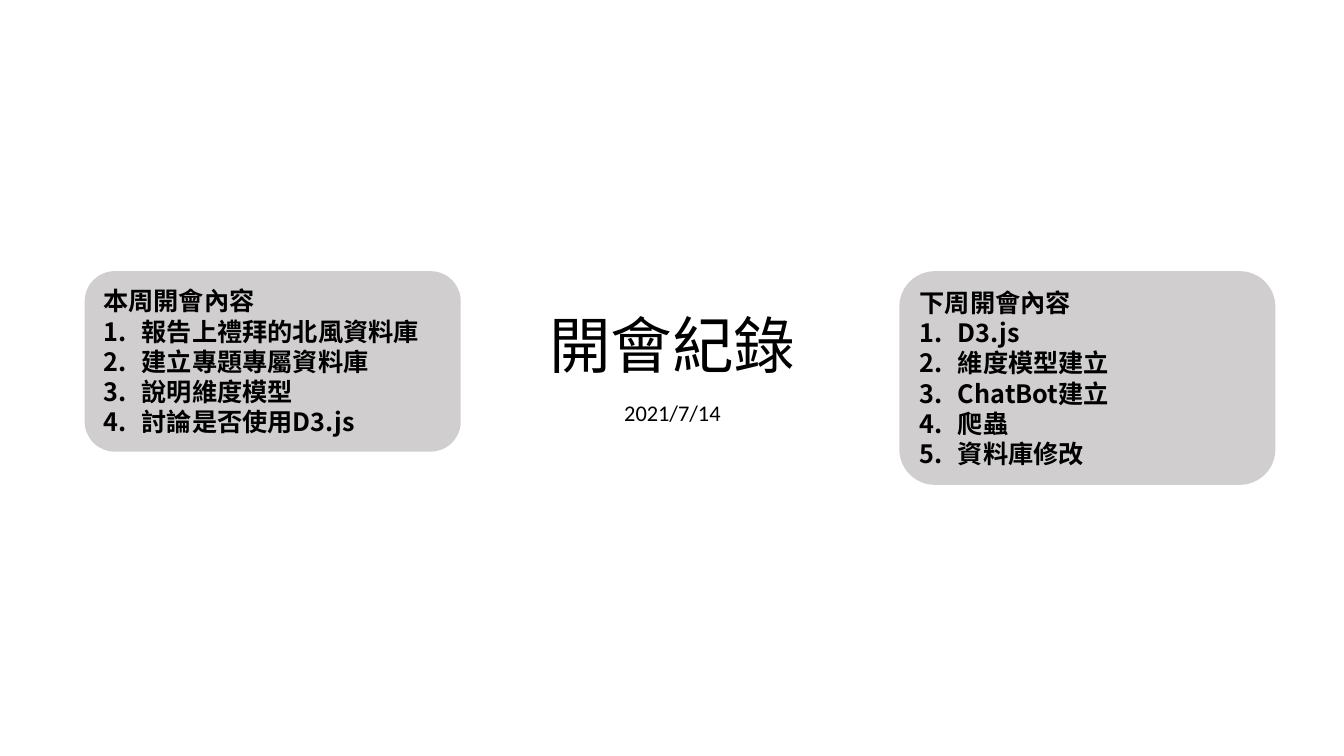
from lxml.etree import SubElement
from pptx import Presentation
from pptx.dml.color import RGBColor
from pptx.enum.shapes import MSO_SHAPE
from pptx.enum.text import MSO_ANCHOR as ANCHOR, PP_ALIGN as ALIGN
from pptx.oxml.ns import qn
from pptx.util import Inches, Pt

BLACK = RGBColor(0x00, 0x00, 0x00)
GRAY = RGBColor(0xD0, 0xCE, 0xCE)
CJK = "Noto Sans CJK SC"


def add_run(p, text, **font):
    r = p.add_run()
    r.text = text
    r.font.color.rgb = BLACK
    for name, value in font.items():
        setattr(r.font, name, value)
    SubElement(r.font._element, qn("a:ea"), typeface=CJK)


def number(p):
    """Turn the paragraph into an item of a 1. 2. 3. list."""
    pPr = p._p.get_or_add_pPr()
    pPr.set("marL", str(Inches(0.38)))
    pPr.set("indent", str(-Inches(0.38)))
    SubElement(pPr, qn("a:buFont"), typeface="+mj-lt")
    SubElement(pPr, qn("a:buAutoNum"), type="arabicPeriod")


prs = Presentation()
prs.slide_width, prs.slide_height = Inches(13.33), Inches(7.5)
s = prs.slides.add_slide(prs.slide_layouts[6])

# Title and date
headings = [
    ("開會紀錄", 1.23, 2.61, 44, ANCHOR.BOTTOM),
    ("2021/7/14", 3.94, 1.81, 16, ANCHOR.TOP),
]
for text, top, height, size, anchor in headings:
    sp = s.shapes.add_textbox(Inches(1.67), Inches(top), Inches(10), Inches(height))
    tf = sp.text_frame
    tf.word_wrap = True
    tf.vertical_anchor = anchor
    p = tf.paragraphs[0]
    p.alignment = ALIGN.CENTER
    p.line_spacing = 0.9
    add_run(p, text, size=Pt(size), name="Calibri")

# Agenda cards for this week and next week
cards = [
    (0.84, 1.79, "本周開會內容",
     ["報告上禮拜的北風資料庫", "建立專題專屬資料庫", "說明維度模型", "討論是否使用D3.js"]),
    (8.92, 2.12, "下周開會內容",
     ["D3.js", "維度模型建立", "ChatBot建立", "爬蟲", "資料庫修改"]),
]
for left, height, heading, items in cards:
    sp = s.shapes.add_shape(MSO_SHAPE.ROUNDED_RECTANGLE, Inches(left), Inches(2.69),
                            Inches(3.73), Inches(height))
    sp.shadow.inherit = False
    sp.fill.solid()
    sp.fill.fore_color.rgb = GRAY
    sp.line.fill.background()
    tf = sp.text_frame
    tf.word_wrap = True
    tf.vertical_anchor = ANCHOR.MIDDLE
    for i, text in enumerate([heading, *items]):
        p = tf.add_paragraph() if i else tf.paragraphs[0]
        p.alignment = ALIGN.LEFT
        if i:
            number(p)
        add_run(p, text, size=Pt(18), name=CJK, bold=True)

prs.save("out.pptx")
